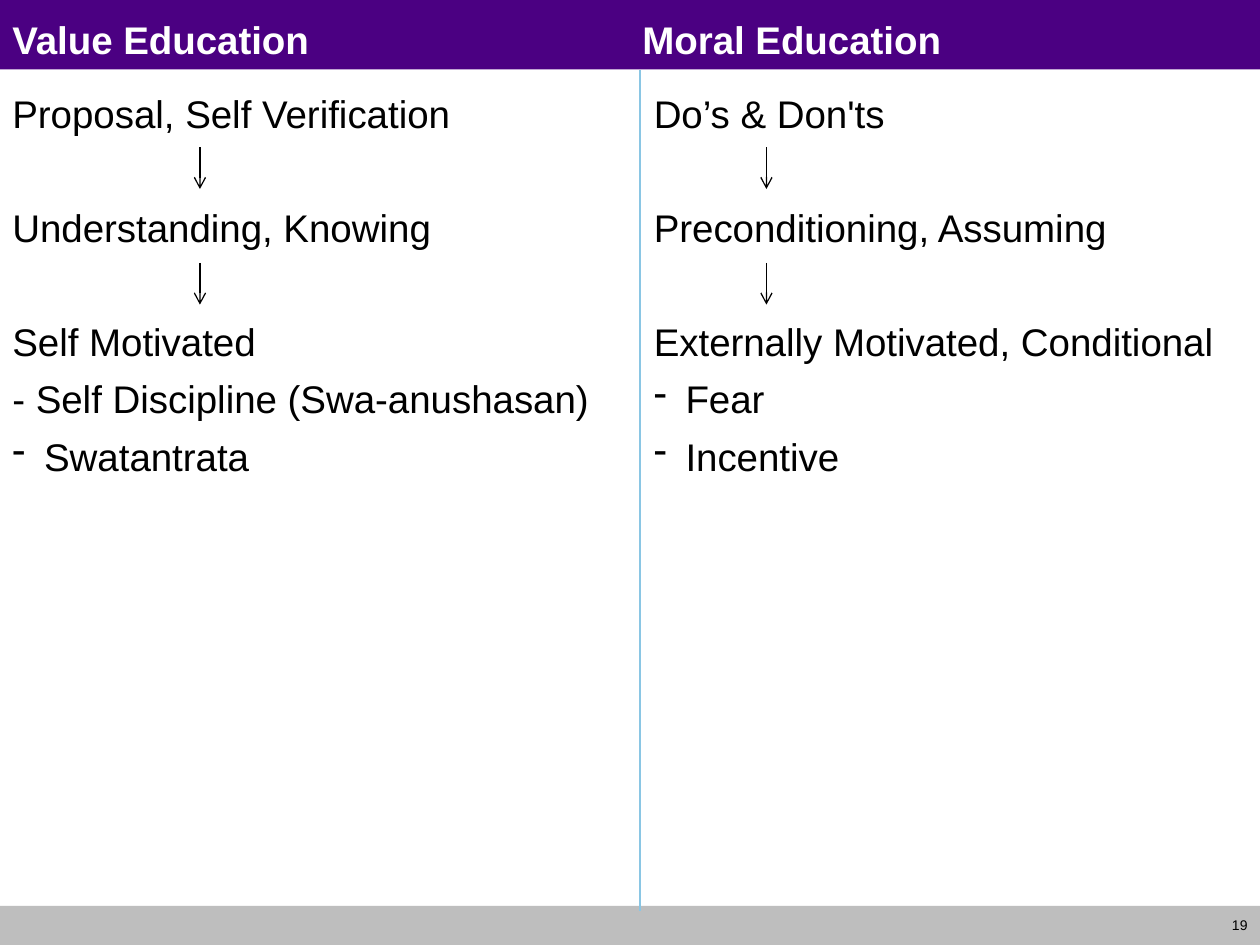
from dataclasses import dataclass

from lxml.etree import SubElement
from pptx import Presentation
from pptx.dml.color import RGBColor
from pptx.enum.shapes import MSO_CONNECTOR, MSO_SHAPE
from pptx.enum.text import MSO_ANCHOR, PP_ALIGN
from pptx.oxml.ns import qn
from pptx.slide import Slide
from pptx.util import Cm, Pt

INDIGO = RGBColor(0x4B, 0x00, 0x82)
GRAY = RGBColor(0xBE, 0xBE, 0xBE)
SKY = RGBColor(0x8A, 0xC6, 0xE4)
BLACK = RGBColor(0x00, 0x00, 0x00)
WHITE = RGBColor(0xFF, 0xFF, 0xFF)

WIDTH, HEIGHT = 25.4, 19.05
FOOTER_TOP = 18.26
BODY_TOP, BODY_HEIGHT = 1.7, 16.51
DIVIDER_X = 12.9
ARROW_LENGTH = 0.84
ARROW_TOPS = (2.97, 5.3)
HEADINGS = ("Value Education", "Moral Education")
COLUMNS = (
    (0, 12.52, 4.03,
     ("Proposal, Self Verification", "Understanding, Knowing", "Self Motivated"),
     (("- Self Discipline (Swa-anushasan)", False), ("Swatantrata", True))),
    (12.93, 12.47, 15.45,
     ("Do’s & Don'ts", "Preconditioning, Assuming", "Externally Motivated, Conditional"),
     (("Fear", True), ("Incentive", True))),
)


@dataclass
class ComparisonSlide:
    """Draws the parts of a two-column comparison in one style."""

    slide: Slide
    font_name: str = "Arial"
    text_size: float = 22
    line_gap: float = 6.5
    step_gap: float = 38.5
    indent: float = 0.64

    def bar(self, top, height, color):
        shape = self.slide.shapes.add_shape(
            MSO_SHAPE.RECTANGLE, 0, Cm(top), Cm(WIDTH), Cm(height))
        shape.shadow.inherit = False
        shape.fill.solid()
        shape.fill.fore_color.rgb = color
        shape.line.fill.background()

    def text_frame(self, left, top, width, height):
        shape = self.slide.shapes.add_textbox(Cm(left), Cm(top), Cm(width), Cm(height))
        shape.text_frame.word_wrap = True
        return shape.text_frame

    def style(self, paragraph, color=BLACK, size=None, bold=False):
        font = paragraph.font
        font.name = self.font_name
        font.size = Pt(size or self.text_size)
        font.bold = bold
        font.color.rgb = color

    def title(self, headings, tab):
        paragraph = self.text_frame(0, 0.2, WIDTH, 1.07).paragraphs[0]
        paragraph.text = "\t".join(headings)
        tabs = SubElement(paragraph._p.get_or_add_pPr(), qn("a:tabLst"))
        SubElement(tabs, qn("a:tab"), pos=str(Cm(tab)), algn="l")
        self.style(paragraph, WHITE, bold=True)

    def column(self, left, width, steps, results):
        frame = self.text_frame(left, BODY_TOP, width, BODY_HEIGHT)
        lines = [(step, False, self.step_gap) for step in steps]
        lines += [(result, dashed, self.line_gap) for result, dashed in results]
        for index, (text, dashed, gap) in enumerate(lines):
            paragraph = frame.add_paragraph() if index else frame.paragraphs[0]
            paragraph.text = text
            properties = paragraph._p.get_or_add_pPr()
            properties.set("marL", str(Cm(self.indent)))
            properties.set("indent", str(-Cm(self.indent)))
            if index:
                paragraph.space_before = Pt(gap)
            if dashed:
                SubElement(properties, qn("a:buChar"), char="-")
            self.style(paragraph)

    def page_number(self, text):
        frame = self.text_frame(24.2, FOOTER_TOP, 1.2, HEIGHT - FOOTER_TOP)
        frame.vertical_anchor = MSO_ANCHOR.MIDDLE
        paragraph = frame.paragraphs[0]
        paragraph.text = text
        paragraph.alignment = PP_ALIGN.RIGHT
        self.style(paragraph, size=8)

    def vertical_line(self, x, top, bottom, color, arrow=False):
        connector = self.slide.shapes.add_connector(
            MSO_CONNECTOR.STRAIGHT, Cm(x), Cm(top), Cm(x), Cm(bottom))
        connector.line.color.rgb = color
        connector.line.width = Pt(0.75)
        if arrow:
            SubElement(connector.line._get_or_add_ln(), qn("a:tailEnd"), type="arrow")
        SubElement(connector._element.spPr, qn("a:effectLst"))


def main():
    presentation = Presentation()
    presentation.slide_width, presentation.slide_height = Cm(WIDTH), Cm(HEIGHT)
    comparison = ComparisonSlide(presentation.slides.add_slide(presentation.slide_layouts[6]))
    comparison.bar(0, 1.4, INDIGO)
    comparison.bar(FOOTER_TOP, HEIGHT - FOOTER_TOP, GRAY)
    comparison.page_number("19")
    comparison.title(HEADINGS, 12.7)
    comparison.vertical_line(DIVIDER_X, 1.42, 18.36, SKY)
    for left, width, arrow_x, steps, results in COLUMNS:
        comparison.column(left, width, steps, results)
        for top in ARROW_TOPS:
            comparison.vertical_line(arrow_x, top, top + ARROW_LENGTH, BLACK, arrow=True)
    presentation.save("out.pptx")


if __name__ == "__main__":
    main()
